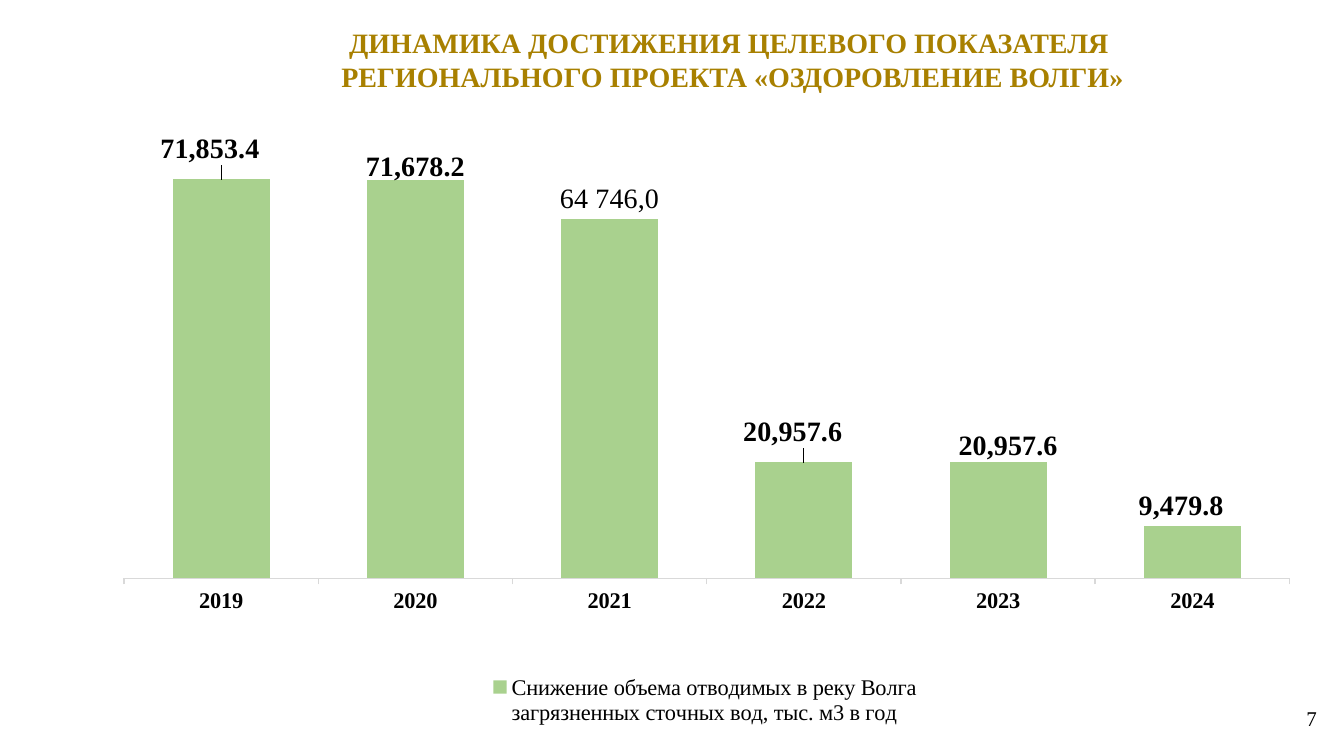
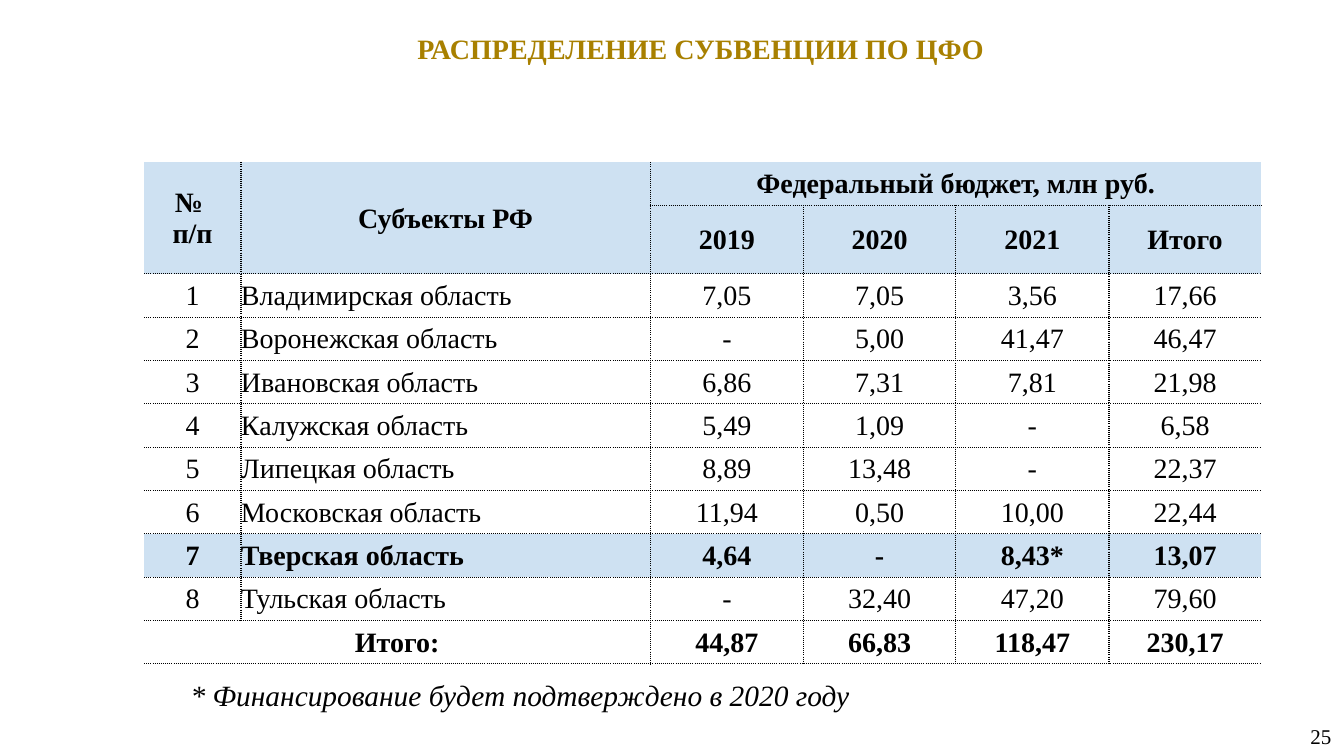
from dataclasses import dataclass

from lxml import etree
from pptx import Presentation
from pptx import util as u
from pptx.chart import data as chart_data
from pptx.dml.color import RGBColor
from pptx.enum import chart as charts, text
from pptx.oxml import ns

# Scale, colours and text formats
PX = 9144  # EMU, 100 px to the inch
GOLD = RGBColor(0xA8, 0x80, 0x00)
BLACK = RGBColor(0x00, 0x00, 0x00)
WHITE = RGBColor(0xFF, 0xFF, 0xFF)
GREEN = RGBColor(0xA9, 0xD1, 0x8E)
PALE_BLUE = RGBColor(0xCE, 0xE1, 0xF2)
GREY = RGBColor(0xD9, 0xD9, 0xD9)

BASE = {"name": "Times New Roman", "size": u.Pt(20), "bold": False}
BOLD = BASE | {"bold": True}
SMALL = BASE | {"size": u.Pt(16)}
PAGE_NUMBER = BASE | {"size": u.Pt(15)}
FOOTNOTE = BASE | {"size": u.Pt(21), "italic": True}

CENTER, LEFT = text.PP_ALIGN.CENTER, text.PP_ALIGN.LEFT
MIDDLE, TOP = text.MSO_ANCHOR.MIDDLE, text.MSO_ANCHOR.TOP


@dataclass(frozen=True)
class Box:
    left: int
    top: int
    width: int
    height: int

    def emu(self) -> tuple:
        return tuple(u.Emu(v * PX) for v in (self.left, self.top, self.width, self.height))


@dataclass(frozen=True)
class TextItem:
    box: Box
    content: str
    style: dict
    color: RGBColor = BLACK
    align: text.PP_ALIGN = CENTER
    anchor: text.MSO_ANCHOR = MIDDLE
    inset: tuple = (7, 4)


@dataclass(frozen=True)
class Bar:
    year: str
    volume: float
    shift: tuple  # label offset in px
    label: str = ""


# Content
BARS = [
    Bar("2019", 71853.4, (-11, -10)),
    Bar("2020", 71678.2, (0, 6)),
    Bar("2021", 64746.0, (0, 0), "64 746,0"),
    Bar("2022", 20957.6, (-11, -10)),
    Bar("2023", 20957.6, (10, 4)),
    Bar("2024", 9479.8, (-11, 0)),
]
SERIES_NAME = "Снижение объема отводимых в реку Волга \nзагрязненных сточных вод, тыс. м3 в год\n"
CHART_BOX = Box(103, 125, 1198, 625)
PLOT_BOX = Box(20, 8, 1156, 441)  # within the chart
NUMBER_FORMAT = "#,##0.0"

HEADER_ROWS = [
    ("№ \nп/п", "Субъекты РФ", "Федеральный бюджет, млн руб.", "", "", ""),
    ("", "", "2019", "2020", "2021", "Итого"),
]
REGIONS = [
    ("Владимирская область", "7,05", "7,05", "3,56", "17,66"),
    ("Воронежская область", "-", "5,00", "41,47", "46,47"),
    ("Ивановская область", "6,86", "7,31", "7,81", "21,98"),
    ("Калужская область", "5,49", "1,09", "-", "6,58"),
    ("Липецкая область", "8,89", "13,48", "-", "22,37"),
    ("Московская область", "11,94", "0,50", "10,00", "22,44"),
    ("Тверская область", "4,64", "-", "8,43*", "13,07"),
    ("Тульская область", "-", "32,40", "47,20", "79,60"),
]
TOTAL_ROW = ("Итого:", "", "44,87", "66,83", "118,47", "230,17")
HIGHLIGHTED = "Тверская область"
COLUMN_WIDTHS = (96, 406, 152, 151, 152, 151)
ROW_HEIGHT, SUBHEADER_HEIGHT = 43, 67
MERGES = [((0, 0), (1, 0)), ((0, 1), (1, 1)), ((0, 2), (0, 5)), ((10, 0), (10, 1))]


# Text
def set_font(font, style: dict, color: RGBColor = BLACK) -> None:
    for name, value in style.items():
        setattr(font, name, value)
    font.color.rgb = color


def write(frame, content: str, style: dict, color: RGBColor = BLACK,
          align: text.PP_ALIGN = CENTER) -> None:
    paragraph = frame.paragraphs[0]
    paragraph.text = content
    paragraph.alignment = align
    for run in paragraph.runs:
        set_font(run.font, style, color)


def add_text(slide, item: TextItem) -> None:
    frame = slide.shapes.add_textbox(*item.box.emu()).text_frame
    across, down = (u.Emu(v * PX) for v in item.inset)
    settings = {"word_wrap": True, "vertical_anchor": item.anchor,
                "margin_left": across, "margin_right": across,
                "margin_top": down, "margin_bottom": down}
    for name, value in settings.items():
        setattr(frame, name, value)
    write(frame, item.content, item.style, item.color, item.align)


# Chart
def manual_layout(**values) -> etree._Element:
    layout = etree.Element(ns.qn("c:layout"))
    manual = etree.SubElement(layout, ns.qn("c:manualLayout"))
    for name, value in values.items():
        etree.SubElement(manual, ns.qn(f"c:{name}")).set("val", str(value))
    return layout


def add_bar_labels(series) -> None:
    labels = series.data_labels
    labels.show_value = True
    labels.number_format = NUMBER_FORMAT
    labels.number_format_is_linked = False
    labels.position = charts.XL_LABEL_POSITION.OUTSIDE_END
    set_font(labels.font, BOLD)
    for index, bar in enumerate(BARS):
        label = series.points[index].data_label
        if bar.label:
            write(label.text_frame, bar.label, BASE)
        else:
            set_font(label.font, BOLD)
        label.position = charts.XL_LABEL_POSITION.OUTSIDE_END
    for bar, element in zip(BARS, labels._element.findall(ns.qn("c:dLbl"))):
        across, down = bar.shift
        if across or down:
            element.insert(1, manual_layout(x=across / CHART_BOX.width,
                                            y=down / CHART_BOX.height))


def add_volume_chart(slide) -> None:
    data = chart_data.CategoryChartData(number_format=NUMBER_FORMAT)
    data.categories = [bar.year for bar in BARS]
    data.add_series(SERIES_NAME, [bar.volume for bar in BARS])
    chart = slide.shapes.add_chart(
        charts.XL_CHART_TYPE.COLUMN_CLUSTERED, *CHART_BOX.emu(), data).chart
    chart.has_title = False
    set_font(chart.font, {"name": "Calibri", "size": u.Pt(10)})

    # Axes
    years, volumes = chart.category_axis, chart.value_axis
    set_font(years.tick_labels.font, SMALL | {"bold": True})
    years.major_tick_mark = charts.XL_TICK_MARK.OUTSIDE
    years.format.line.color.rgb = GREY
    years.format.line.width = u.Pt(1)
    volumes.minimum_scale, volumes.maximum_scale = 0, 80000
    volumes.has_major_gridlines = False
    volumes.visible = False

    # Legend
    chart.has_legend = True
    chart.legend.position = charts.XL_LEGEND_POSITION.BOTTOM
    chart.legend.include_in_layout = False
    set_font(chart.legend.font, SMALL)

    # Bars
    plot = chart.plots[0]
    plot.gap_width, plot.overlap, plot.vary_by_categories = 100, -24, False
    series = plot.series[0]
    series.format.fill.solid()
    series.format.fill.fore_color.rgb = GREEN
    add_bar_labels(series)

    # Plot position
    area = chart._chartSpace.find(".//" + ns.qn("c:plotArea"))
    for old in area.findall(ns.qn("c:layout")):
        area.remove(old)
    area.insert(0, manual_layout(
        layoutTarget="inner", xMode="edge", yMode="edge",
        x=PLOT_BOX.left / CHART_BOX.width, y=PLOT_BOX.top / CHART_BOX.height,
        w=PLOT_BOX.width / CHART_BOX.width, h=PLOT_BOX.height / CHART_BOX.height))


# Table
def add_borders(cell, sides: dict) -> None:
    properties = cell._tc.get_or_add_tcPr()
    for side, shown in sides.items():
        line = etree.SubElement(properties, ns.qn(f"a:ln{side}"), w=str(u.Pt(1)))
        if not shown:
            etree.SubElement(line, ns.qn("a:noFill"))
            continue
        fill = etree.SubElement(line, ns.qn("a:solidFill"))
        etree.SubElement(fill, ns.qn("a:srgbClr"), val=str(BLACK))
        etree.SubElement(line, ns.qn("a:prstDash"), val="sysDot")


def add_budget_table(slide) -> None:
    numbered = [(str(number), *region) for number, region in enumerate(REGIONS, 1)]
    rows = [*HEADER_ROWS, *numbered, TOTAL_ROW]
    heights = [ROW_HEIGHT] * len(rows)
    heights[1] = SUBHEADER_HEIGHT
    box = Box(143, 161, sum(COLUMN_WIDTHS), sum(heights))
    table = slide.shapes.add_table(len(rows), len(COLUMN_WIDTHS), *box.emu()).table
    table.first_row = table.horz_banding = False
    for column, width in zip(table.columns, COLUMN_WIDTHS):
        column.width = u.Emu(width * PX)
    for row, height in zip(table.rows, heights):
        row.height = u.Emu(height * PX)
    for first, last in MERGES:
        table.cell(*first).merge(table.cell(*last))

    margins = {"margin_left": 0, "margin_right": 0, "margin_top": PX, "margin_bottom": 0,
               "vertical_anchor": MIDDLE}
    for r, values in enumerate(rows):
        is_header = r < len(HEADER_ROWS)
        shaded = is_header or HIGHLIGHTED in values
        style = BOLD if shaded or values is TOTAL_ROW else BASE
        for c, value in enumerate(values):
            cell = table.cell(r, c)
            if cell.is_spanned:
                continue
            span = cell.span_width if cell.is_merge_origin else 1
            for name, setting in margins.items():
                setattr(cell, name, setting)
            add_borders(cell, {"L": c > 0, "R": c + span < len(values), "T": r > 0, "B": True})
            cell.fill.solid()
            cell.fill.fore_color.rgb = PALE_BLUE if shaded else WHITE
            is_region = c == 1 and not is_header
            write(cell.text_frame, value, style, align=LEFT if is_region else CENTER)


# Slides
def add_slide(presentation, items: list):
    slide = presentation.slides.add_slide(presentation.slide_layouts[6])
    for item in items:
        add_text(slide, item)
    return slide


def main() -> None:
    presentation = Presentation()
    presentation.slide_width, presentation.slide_height = u.Emu(1333 * PX), u.Emu(750 * PX)

    dynamics = add_slide(presentation, [
        TextItem(Box(175, 37, 1103, 44),
                 "ДИНАМИКА ДОСТИЖЕНИЯ ЦЕЛЕВОГО ПОКАЗАТЕЛЯ \n"
                 "РЕГИОНАЛЬНОГО ПРОЕКТА «ОЗДОРОВЛЕНИЕ ВОЛГИ»",
                 BOLD, GOLD, inset=(13, 7)),
        TextItem(Box(1287, 701, 28, 23), "7", PAGE_NUMBER),
    ])
    add_volume_chart(dynamics)

    subvention = add_slide(presentation, [
        TextItem(Box(129, 27, 1132, 41), "РАСПРЕДЕЛЕНИЕ СУБВЕНЦИИ ПО ЦФО",
                 BOLD, GOLD, anchor=TOP),
        TextItem(Box(1286, 710, 48, 40), "25", PAGE_NUMBER, inset=(10, 5)),
        TextItem(Box(176, 665, 699, 49), "* Финансирование будет подтверждено в 2020 году",
                 FOOTNOTE, align=LEFT, anchor=TOP, inset=(13, 7)),
    ])
    add_budget_table(subvention)
    presentation.save("out.pptx")


if __name__ == "__main__":
    main()
